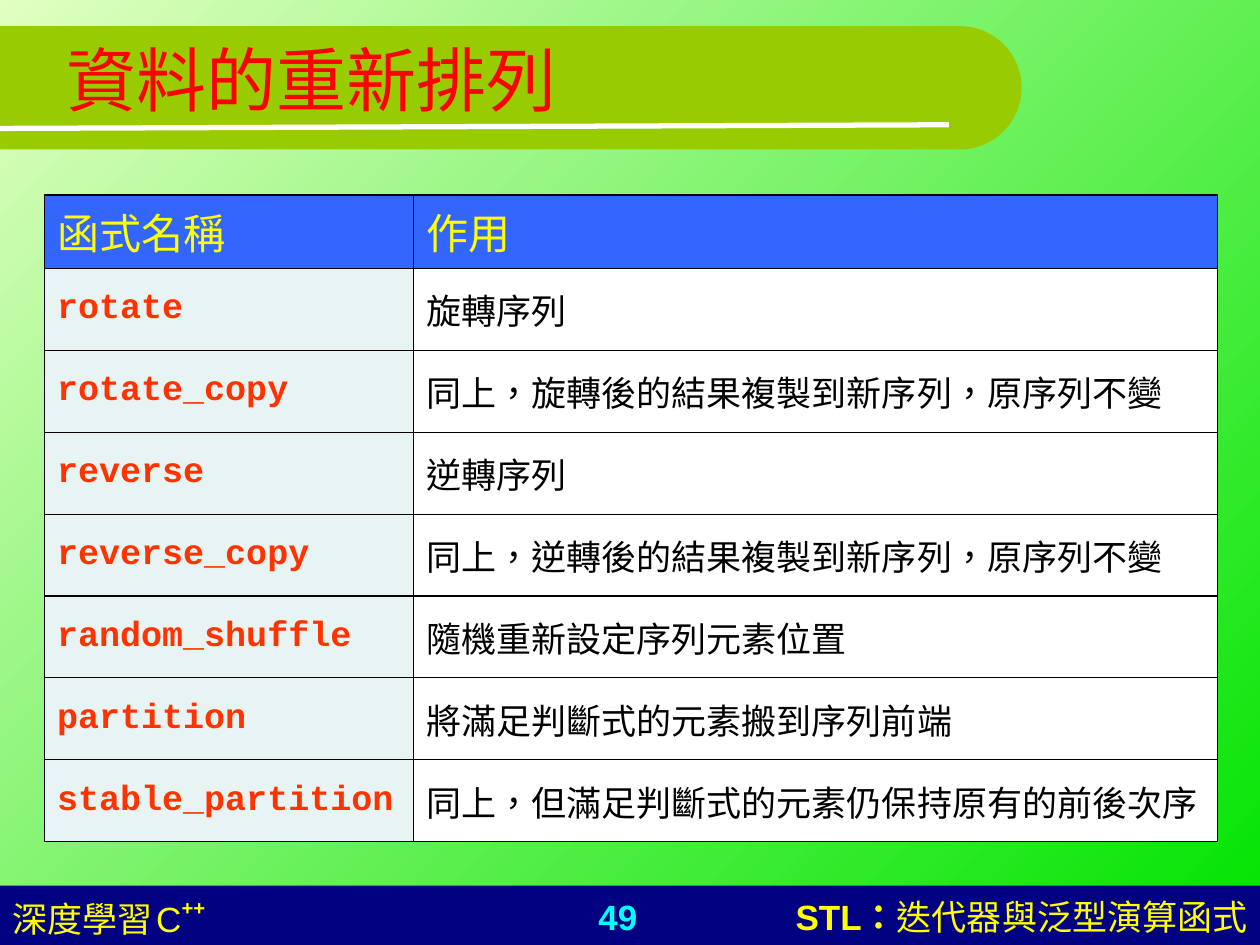
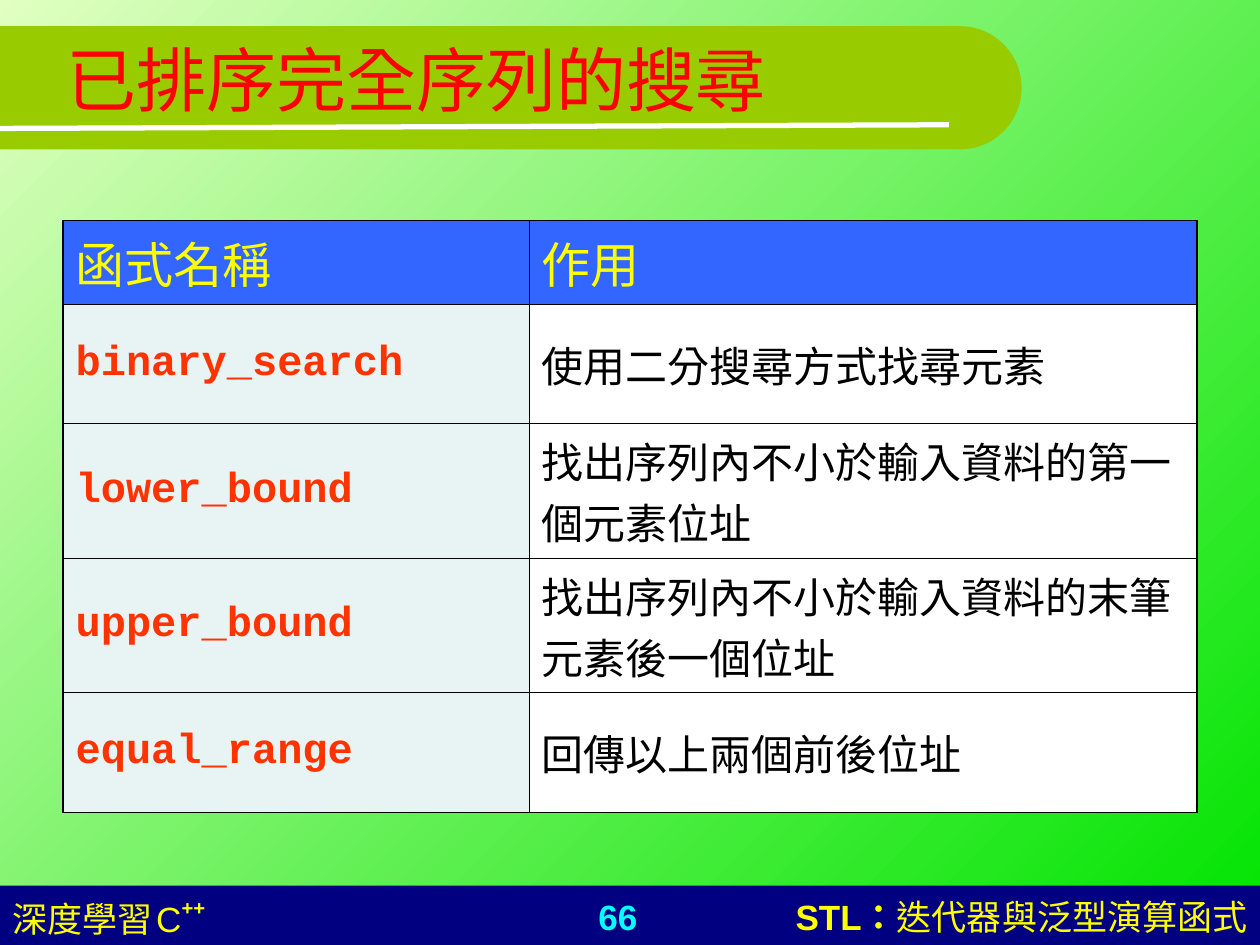
"""Build two slides of STL function tables with a shared title band and footer."""
from dataclasses import dataclass
from math import ceil, cos, pi, sin

from lxml import etree
from pptx import Presentation
from pptx.dml.color import RGBColor
from pptx.enum.shapes import MSO_CONNECTOR, MSO_SHAPE
from pptx.enum.text import MSO_ANCHOR, PP_ALIGN
from pptx.oxml.ns import qn
from pptx.util import Pt

LEFT, MID, RIGHT = PP_ALIGN.LEFT, PP_ALIGN.CENTER, PP_ALIGN.RIGHT
TOP, MIDDLE = MSO_ANCHOR.TOP, MSO_ANCHOR.MIDDLE
RECT = MSO_SHAPE.RECTANGLE
STRAIGHT = MSO_CONNECTOR.STRAIGHT

WIDE, HIGH = 720, 540
PAD_X, PAD_Y, LEADING = 14.4, 7.2, 1.45
SANS, MONO = "Arial", "Courier New"
PALE, GREEN, OLIVE, NAVY = "E0FFC1", "00E400", "99CC00", "000080"
RED, YELLOW, CYAN, WHITE, BLACK = "FF0000", "FFFF00", "00FFFF", "FFFFFF", "000000"
BLUE, ICE, ORANGE = "3366FF", "E8F4F4", "FF3300"
HEADS = ("函式名稱", "作用")


@dataclass(frozen=True)
class Page:
    title: str
    number: str
    left: float
    top: float
    widths: tuple[float, float]
    row: float
    size: float
    rows: tuple[tuple[str, str], ...]


PAGES = (
    Page("資料的重新排列", "49", 25.4, 111.4, (211, 459.5), 46.8, 20, (
        ("rotate", "旋轉序列"),
        ("rotate_copy", "同上，旋轉後的結果複製到新序列，原序列不變"),
        ("reverse", "逆轉序列"),
        ("reverse_copy", "同上，逆轉後的結果複製到新序列，原序列不變"),
        ("random_shuffle", "隨機重新設定序列元素位置"),
        ("partition", "將滿足判斷式的元素搬到序列前端"),
        ("stable_partition", "同上，但滿足判斷式的元素仍保持原有的前後次序"),
    )),
    Page("已排序完全序列的搜尋", "66", 36, 126, (266.4, 381.6), 68.4, 24, (
        ("binary_search", "使用二分搜尋方式找尋元素"),
        ("lower_bound", "找出序列內不小於輸入資料的第一個元素位址"),
        ("upper_bound", "找出序列內不小於輸入資料的末筆元素後一個位址"),
        ("equal_range", "回傳以上兩個前後位址"),
    )),
)


def paint(color, code: str) -> None:
    color.rgb = RGBColor.from_string(code)


def fill(shape, code: str) -> None:
    shape.fill.solid()
    paint(shape.fill.fore_color, code)


def write(para, text: str, *, size: float = 20, color: str = YELLOW,
          face: str = SANS, bold: bool = False, base: int = 0) -> None:
    run = para.add_run()
    run.text = text
    font = run.font
    font.size, font.name, font.bold = Pt(size), face, bold
    paint(font.color, color)
    props = run._r.get_or_add_rPr()
    props.set("lang", "zh-TW")
    if base:
        props.set("baseline", str(base * 1000))


def add_box(slide, left: float, top: float, width: float, height: float,
            align=LEFT, anchor=TOP):
    box = slide.shapes.add_textbox(Pt(left), Pt(top), Pt(width), Pt(height))
    frame = box.text_frame
    frame.word_wrap = True
    frame.vertical_anchor = anchor
    para = frame.paragraphs[0]
    para.alignment = align
    return para


def add_back(slide) -> None:
    back = slide.background.fill
    back.gradient()
    back.gradient_angle = 315
    for stop, place, code in zip(back.gradient_stops, (0, 1), (PALE, GREEN)):
        stop.position = place
        paint(stop.color, code)


def add_band(slide) -> None:
    top, radius, hub, steps = 15, 35.2, 548.6, 48
    arc = [(hub + radius * sin(pi * i / steps),
            top + radius - radius * cos(pi * i / steps))
           for i in range(steps + 1)]
    form = slide.shapes.build_freeform(0, Pt(top))
    form.add_line_segments([(Pt(x), Pt(y)) for x, y in arc + [(0, top + 2 * radius)]])
    band = form.convert_to_shape()
    band.shadow.inherit = False
    fill(band, OLIVE)
    band.line.fill.background()
    rule = slide.shapes.add_connector(STRAIGHT, 0, Pt(73.4), Pt(542.2), Pt(71.3))
    paint(rule.line.color, WHITE)
    rule.line.width = Pt(3)
    etree.SubElement(rule._element.spPr, qn("a:effectLst"))


def add_foot(slide, number: str) -> None:
    bar = slide.shapes.add_shape(RECT, 0, Pt(506), Pt(WIDE), Pt(34))
    bar.shadow.inherit = False
    fill(bar, NAVY)
    bar.line.fill.background()
    top, height = 508.3, 31.7
    write(add_box(slide, 269, top, 168, height, MID), number, color=CYAN, bold=True)
    theme = add_box(slide, 405.4, top, 314.6, height, RIGHT)
    write(theme, "STL：", bold=True)
    write(theme, "迭代器與泛型演算函式")
    course = add_box(slide, 0, top, 241, height)
    write(course, "深度學習")
    write(course, " ", size=9)
    write(course, "C")
    write(course, "++", bold=True, base=46)


def edge(cell) -> None:
    props = cell._tc.get_or_add_tcPr()
    for i, side in enumerate(("a:lnL", "a:lnR", "a:lnT", "a:lnB")):
        line = etree.Element(qn(side), w=str(Pt(0.75)))
        ink = etree.SubElement(line, qn("a:solidFill"))
        etree.SubElement(ink, qn("a:srgbClr"), val=BLACK)
        props.insert(i, line)


def set_cell(cell, text: str, back: str, **style) -> None:
    cell.vertical_anchor = MIDDLE
    fill(cell, back)
    edge(cell)
    write(cell.text_frame.paragraphs[0], text, face=MONO, **style)


def fit(text: str, size: float, width: float) -> float:
    lines = ceil(len(text) * size / (width - PAD_X))
    return lines * size * LEADING + PAD_Y


def add_grid(slide, page: Page) -> None:
    big, width = page.size + 4, page.widths[1]
    tall = [fit(HEADS[1], big, width)]
    tall += [max(page.row, fit(use, page.size, width)) for _, use in page.rows]
    frame = slide.shapes.add_table(
        len(tall), 2, Pt(page.left), Pt(page.top), Pt(sum(page.widths)), Pt(sum(tall)))
    table = frame.table
    table.first_row = table.horz_banding = False
    for column, span in zip(table.columns, page.widths):
        column.width = Pt(span)
    for row, height in zip(table.rows, tall):
        row.height = Pt(height)
    for i, head in enumerate(HEADS):
        set_cell(table.cell(0, i), head, BLUE, size=big)
    for i, (name, use) in enumerate(page.rows, 1):
        set_cell(table.cell(i, 0), name, ICE, size=page.size, color=ORANGE, bold=True)
        set_cell(table.cell(i, 1), use, WHITE, size=page.size, color=BLACK)


def main() -> None:
    deck = Presentation()
    deck.slide_width, deck.slide_height = Pt(WIDE), Pt(HIGH)
    for page in PAGES:
        slide = deck.slides.add_slide(deck.slide_layouts[6])
        add_back(slide)
        add_band(slide)
        add_foot(slide, page.number)
        title = add_box(slide, 31, 0, 648, 90, anchor=MIDDLE)
        write(title, page.title, size=40, color=RED)
        add_grid(slide, page)
    deck.save("out.pptx")


if __name__ == "__main__":
    main()
